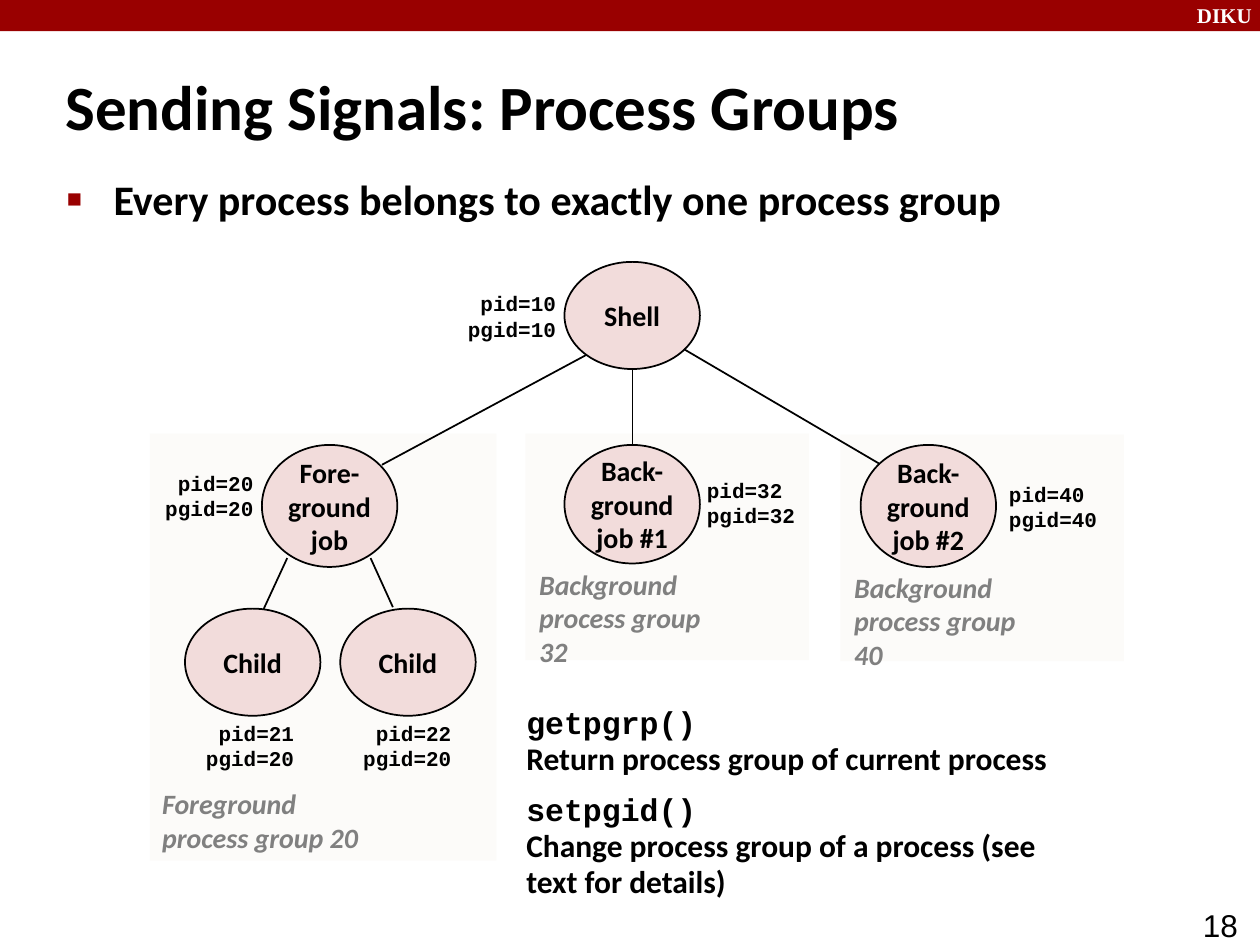
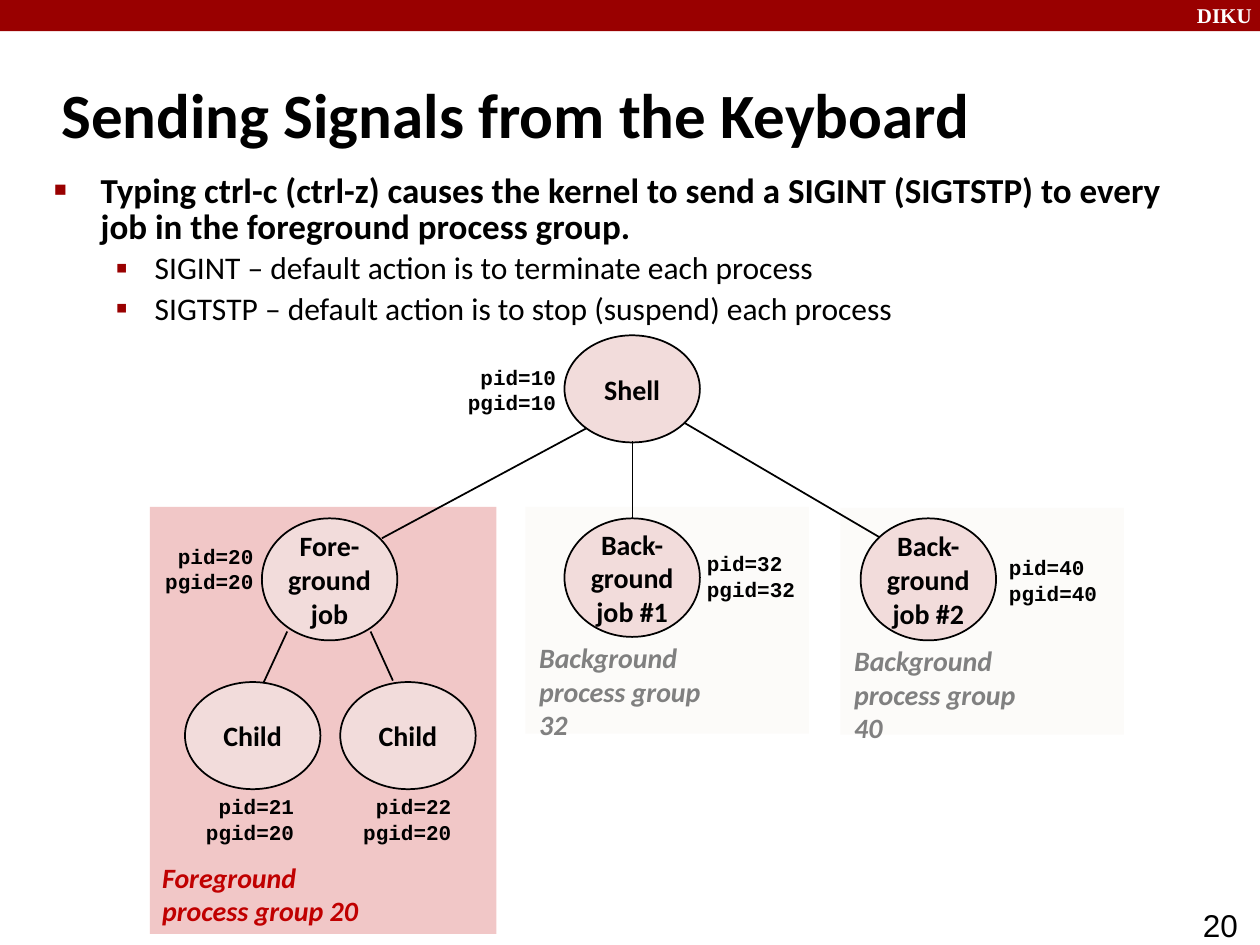
from lxml import etree
from pptx import Presentation
from pptx import util as u
from pptx.dml.color import RGBColor
from pptx.enum import shapes, text
from pptx.oxml.ns import qn

RED, BLACK, WHITE, GREY = "990000", "000000", "FFFFFF", "808080"
PALE, NODE, HOT_FILL, HOT_TEXT = "FCFBF9", "F2DCDB", "F1C7C7", "C00000"
BODY, CODE = "Calibri", "Courier New"
LEFT, CENTER, RIGHT = text.PP_ALIGN.LEFT, text.PP_ALIGN.CENTER, text.PP_ALIGN.RIGHT
TOP, MIDDLE = text.MSO_ANCHOR.TOP, text.MSO_ANCHOR.MIDDLE

NODE_W, NODE_H = 2.73, 2.16
# label, left, top, height
NODES = [
    ("Fore-\nground\njob", 5.28, 8.97, 2.46),
    ("Back-\nground\njob #1", 11.38, 8.97, 2.39),
    ("Back-\nground\njob #2", 17.35, 8.97, 2.46),
    ("Shell", 11.38, 5.28, NODE_H),
    ("Child", 3.73, 12.27, NODE_H),
    ("Child", 6.86, 12.27, NODE_H),
]
# x1, y1, x2, y2
EDGES = [
    (5.79, 11.25, 5.31, 12.29),
    (7.47, 11.25, 7.92, 12.24),
    (12.75, 7.42, 12.75, 8.97),
    (11.81, 7.16, 7.70, 9.37),
    (13.79, 7.04, 17.73, 9.35),
]
# pid, pgid, left, top, alignment
IDS = [
    (10, 10, 9.17, 5.74, RIGHT),
    (20, 20, 3.07, 9.35, RIGHT),
    (32, 32, 14.0, 9.5, LEFT),
    (40, 40, 20.09, 9.58, LEFT),
    (21, 20, 3.89, 14.4, RIGHT),
    (22, 20, 7.06, 14.4, RIGHT),
]


def rgb(value):
    return RGBColor.from_string(value)


def box(*lengths):
    return [u.Cm(n) for n in lengths]


def style(font, size, name=BODY, color=BLACK, bold=True, italic=False):
    font.size, font.name = u.Pt(size), name
    font.bold, font.italic = bold, italic
    font.color.rgb = rgb(color)


def write(tf, content, align=LEFT, anchor=TOP, wrap=True, **fmt):
    """Fill a text frame, one paragraph for each line of content."""
    tf.word_wrap, tf.vertical_anchor = wrap, anchor
    for i, line in enumerate(content.split("\n")):
        p = tf.paragraphs[0] if i == 0 else tf.add_paragraph()
        p.alignment = align
        r = p.add_run()
        r.text = line
        style(r.font, **fmt)


def add_text(s, at, content, **fmt):
    write(s.shapes.add_textbox(*box(*at)).text_frame, content, **fmt)


def add_shape(s, kind, at, fill, outline=None):
    sp = s.shapes.add_shape(kind, *box(*at))
    sp.shadow.inherit = False
    sp.fill.solid()
    sp.fill.fore_color.rgb = rgb(fill)
    if outline:
        sp.line.color.rgb = rgb(outline)
        sp.line.width = u.Pt(1)
    else:
        sp.line.fill.background()
    return sp


def add_rect(s, at, fill):
    add_shape(s, shapes.MSO_SHAPE.RECTANGLE, at, fill)


def add_node(s, label, left, top, height):
    sp = add_shape(s, shapes.MSO_SHAPE.OVAL, (left, top, NODE_W, height), NODE, BLACK)
    write(sp.text_frame, label, size=16, align=CENTER, anchor=MIDDLE, wrap=False)


def add_edge(s, *ends):
    c = s.shapes.add_connector(shapes.MSO_CONNECTOR.STRAIGHT, *box(*ends))
    c.line.color.rgb = rgb(BLACK)
    c.line.width = u.Pt(1)
    etree.SubElement(c._element.spPr, qn("a:effectLst"))


def add_group(s, area, caption_at, caption, fill=PALE, color=GREY):
    """Return the caption's drawing arguments after drawing the group area."""
    add_rect(s, area, fill)
    return caption_at, caption, color


def set_bullet(p, char, percent, margin, hanging):
    pPr = p._p.get_or_add_pPr()
    pPr.set("marL", str(u.Cm(margin)))
    pPr.set("indent", str(-u.Cm(hanging)))
    color = etree.SubElement(pPr, qn("a:buClr"))
    etree.SubElement(color, qn("a:srgbClr"), val=RED)
    etree.SubElement(pPr, qn("a:buSzPct"), val=str(percent * 1000))
    etree.SubElement(pPr, qn("a:buFont"), typeface="Arial")
    etree.SubElement(pPr, qn("a:buChar"), char=char)


def add_bullets(s, at, items, size, spacing=1.0):
    """Draw a bold first item and lighter, indented items below it."""
    tf = s.shapes.add_textbox(*box(*at)).text_frame
    tf.word_wrap = True
    for i, item in enumerate(items):
        if i == 0:
            p = tf.paragraphs[0]
            set_bullet(p, "■", 60, 0.97, 0.94)
            p.line_spacing = spacing
        else:
            p = tf.add_paragraph()
            p.level = 1
            set_bullet(p, "▪", 110, 2.06, 0.79)
            p.line_spacing, p.space_before = 0.9, u.Pt(3.6)
        r = p.add_run()
        r.text = item
        style(r.font, size if i == 0 else 18, bold=i == 0)


def add_calls(s, at, calls):
    """List functions, each with its description on the next line."""
    tf = s.shapes.add_textbox(*box(*at)).text_frame
    tf.word_wrap = True
    for i, (call, description) in enumerate(calls):
        p = tf.paragraphs[0] if i == 0 else tf.add_paragraph()
        p.line_spacing = 0.95
        p.space_before = u.Pt(9 if i else 0)
        r = p.add_run()
        r.text = call
        style(r.font, 18, CODE)
        p.add_line_break()
        r = p.add_run()
        r.text = description
        style(r.font, 18)


def add_process_tree(s, dy=0, fore_fill=PALE, fore_color=GREY):
    """Draw the process groups, moved down by dy."""
    captions = [
        add_group(s, (16.94, 8.76 + dy, 5.72, 4.57), (16.97, 11.71 + dy, 4.45, 1.6),
                  "Background\nprocess group 40"),
        add_group(s, (10.59, 8.74 + dy, 5.72, 4.57), (10.62, 11.65 + dy, 4.45, 1.6),
                  "Background\nprocess group 32"),
        add_group(s, (3.02, 8.74 + dy, 6.99, 8.61), (3.02, 15.74 + dy, 4.9, 1.6),
                  "Foreground\nprocess group 20", fore_fill, fore_color),
    ]
    for label, left, top, height in NODES:
        add_node(s, label, left, top + dy, height)
    for x1, y1, x2, y2 in EDGES:
        add_edge(s, x1, y1 + dy, x2, y2 + dy)
    for at, caption, color in captions:
        add_text(s, at, caption, size=16, color=color, italic=True,
                 anchor=MIDDLE, wrap=False)
    for pid, pgid, left, top, align in IDS:
        add_text(s, (left, top + dy, 2.29, 1.27), f"pid={pid}\npgid={pgid}", size=12,
                 name=CODE, align=align, anchor=MIDDLE, wrap=False)


def add_slide(prs, number, title, left, top):
    s = prs.slides.add_slide(prs.slide_layouts[6])
    add_rect(s, (0, 0, 25.4, 0.63), RED)
    add_text(s, (23.88, -0.08, 1.7, 0.76), "DIKU", size=12, name="Times New Roman",
             color=WHITE)
    add_text(s, (24.0, 18.13, 1.9, 0.66), str(number), size=18, name="Arial", bold=False)
    add_text(s, (left, top, 21.08, 2.11), title, size=36, anchor=MIDDLE)
    return s


def main():
    prs = Presentation()
    prs.slide_width, prs.slide_height = box(25.4, 19.05)

    s = add_slide(prs, 18, "Sending Signals: Process Groups", 1.07, 1.07)
    add_bullets(s, (1.07, 3.38, 21.44, 1.7),
                ["Every process belongs to exactly one process group"], 24)
    add_process_tree(s)
    add_calls(s, (10.36, 14.1, 11.43, 4.32), [
        ("getpgrp()", "Return process group of current process"),
        ("setpgid()", "Change process group of a process (see text for details)"),
    ])

    s = add_slide(prs, 20, "Sending Signals from the Keyboard", 0.99, 1.22)
    add_bullets(s, (0.81, 3.4, 23.06, 3.58), [
        "Typing ctrl-c (ctrl-z) causes the kernel to send a SIGINT (SIGTSTP) to every "
        "job in the foreground process group.",
        "SIGINT – default action is to terminate each process",
        "SIGTSTP – default action is to stop (suspend) each process",
    ], 20, 0.85)
    add_process_tree(s, 1.48, HOT_FILL, HOT_TEXT)

    prs.save("out.pptx")


if __name__ == "__main__":
    main()
